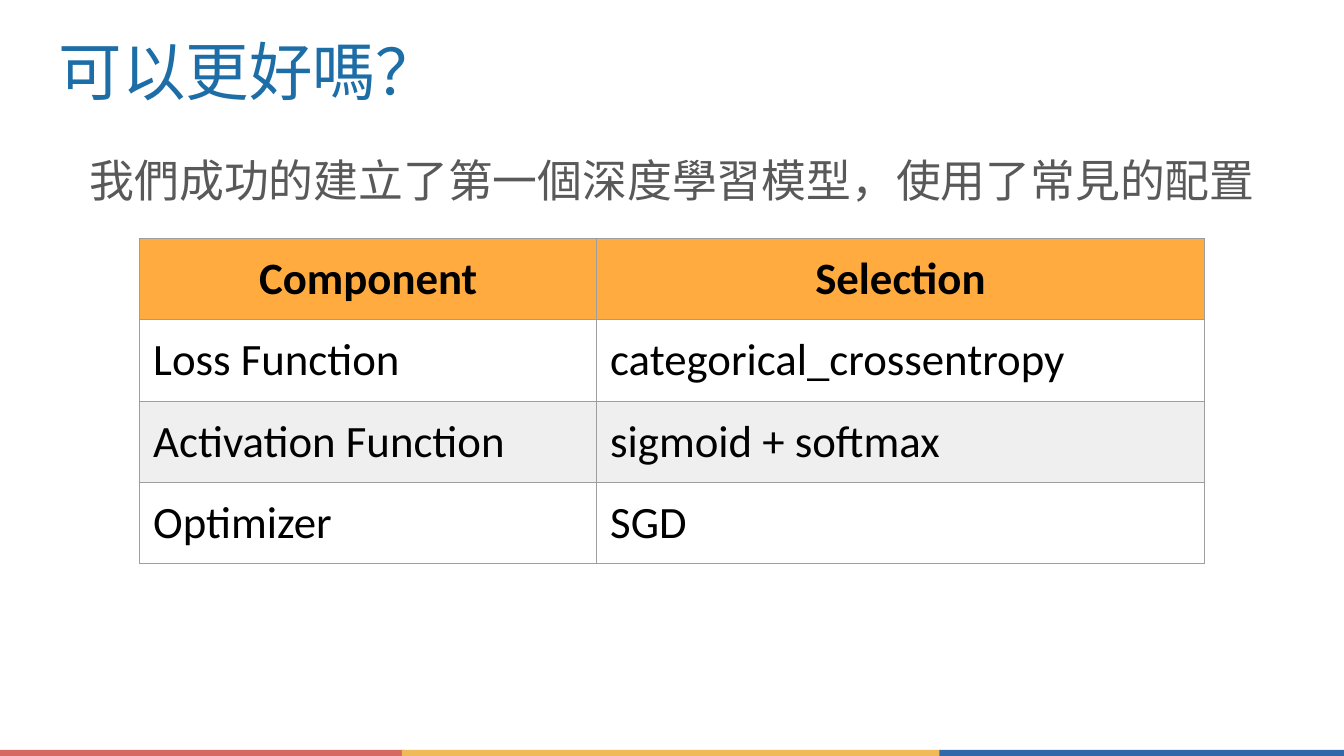
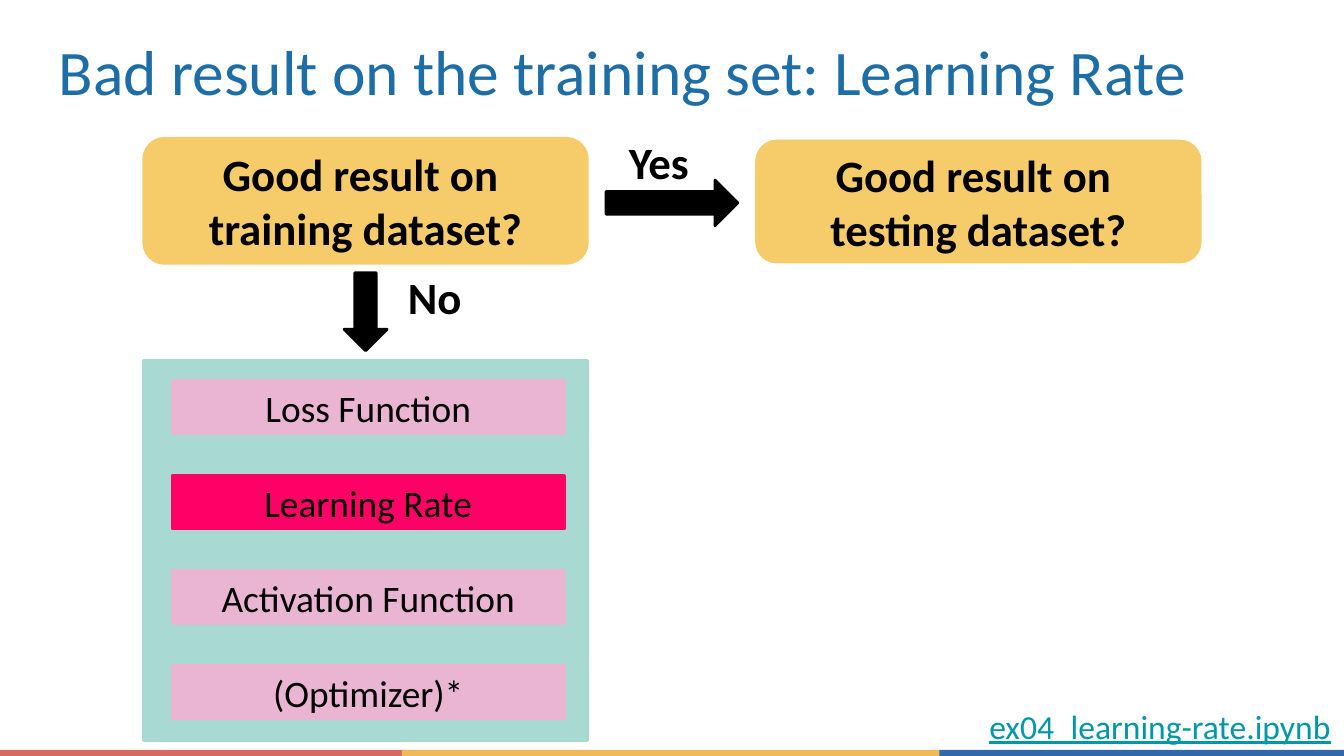
import pptx
import pptx.util
import pptx.dml.color
import pptx.enum.shapes
import pptx.enum.text
import pptx.oxml
import lxml.etree

Pt = pptx.util.Pt
RGB = pptx.dml.color.RGBColor
Kind = pptx.enum.shapes.MSO_SHAPE
Align = pptx.enum.text.PP_ALIGN
Anchor = pptx.enum.text.MSO_ANCHOR

BLACK = RGB(0x00, 0x00, 0x00)
GREY = RGB(0x59, 0x59, 0x59)
BLUE = RGB(0x1D, 0x6D, 0xA7)
TEAL = RGB(0x00, 0x97, 0xA7)
ORANGE = RGB(0xFF, 0xAB, 0x40)
PALE = RGB(0xEF, 0xEF, 0xEF)
RULE = RGB(0x9E, 0x9E, 0x9E)
GOLD = RGB(0xF6, 0xCB, 0x69)
MINT = RGB(0xA8, 0xD9, 0xD3)
PINK = RGB(0xE9, 0xB5, 0xD2)
HOT = RGB(0xFF, 0x00, 0x66)
BANDS = [
    (0, 30.1, RGB(0xD6, 0x69, 0x62)),
    (29.9, 40.1, RGB(0xEF, 0xBA, 0x57)),
    (69.9, 30.1, RGB(0x30, 0x68, 0xAA)),
]

FONT = "Calibri"
COLS, ROWS = 100, 56.25  # grid cells are square
CELL = pptx.util.Inches(10) / COLS


def grid(*spans):
    return [round(span * CELL) for span in spans]


class Deck:
    def __init__(self):
        self.show = pptx.Presentation()
        self.show.slide_width, self.show.slide_height = grid(COLS, ROWS)
        self.slide = None

    def page(self, title):
        """Start a slide with its footer bands and title."""
        self.slide = self.show.slides.add_slide(self.show.slide_layouts[6])
        for left, width, color in BANDS:
            self.shape(Kind.RECTANGLE, (left, 55.8, width, 0.45), color, line=False)
        self.text((3.4, 2, 93.2, 6.4), [title], 34, BLUE, pad=1, anchor=Anchor.MIDDLE)

    def words(self, frame, lines, size, color=BLACK, bold=False,
              align=Align.LEFT, under=False):
        """Fill a frame with one paragraph, broken between lines."""
        para = frame.paragraphs[0]
        para.alignment = align
        for index, line in enumerate(lines):
            if index:
                para.add_line_break()
            run = para.add_run()
            run.text = line
            font = run.font
            font.name, font.size, font.bold = FONT, Pt(size), bold
            font.underline = under
            font.color.rgb = color
        return para

    def inset(self, frame, pad, anchor):
        frame.word_wrap = True
        frame.vertical_anchor = anchor
        frame.margin_left, frame.margin_right = grid(1, 1)
        frame.margin_top, frame.margin_bottom = grid(pad, pad)

    def text(self, box, lines, size, color=BLACK, pad=0.5,
             anchor=Anchor.TOP, **style):
        frame = self.slide.shapes.add_textbox(*grid(*box)).text_frame
        self.inset(frame, pad, anchor)
        return self.words(frame, lines, size, color, **style)

    def shape(self, kind, box, color, lines=(), size=20, bold=False, line=True):
        item = self.slide.shapes.add_shape(kind, *grid(*box))
        item.shadow.inherit = False
        item.fill.solid()
        item.fill.fore_color.rgb = color
        if line:
            item.line.color.rgb = color
            item.line.width = Pt(1.5)
        else:
            item.line.fill.background()
        if lines:
            self.inset(item.text_frame, 0.5, Anchor.MIDDLE)
            self.words(item.text_frame, lines, size, bold=bold, align=Align.CENTER)

    def edge(self, cell):
        """Draw a thin rule on all four sides of a table cell."""
        props = cell._tc.get_or_add_tcPr()
        for side in ("lnL", "lnR", "lnT", "lnB"):
            rule = lxml.etree.SubElement(
                props, pptx.oxml.ns.qn("a:" + side), w=str(Pt(0.75)))
            fill = lxml.etree.SubElement(rule, pptx.oxml.ns.qn("a:solidFill"))
            lxml.etree.SubElement(fill, pptx.oxml.ns.qn("a:srgbClr"), val=str(RULE))

    def table(self, left, top, widths, high, rows):
        box = grid(left, top, sum(widths), high * len(rows))
        table = self.slide.shapes.add_table(len(rows), len(widths), *box).table
        table.horz_banding = table.first_row = False
        for col, width in zip(table.columns, grid(*widths)):
            col.width = width
        for r, row in enumerate(rows):
            table.rows[r].height = grid(high)[0]
            head = r == 0
            for c, word in enumerate(row):
                cell = table.cell(r, c)
                self.edge(cell)
                if r % 2:
                    cell.fill.background()
                else:
                    cell.fill.solid()
                    cell.fill.fore_color.rgb = ORANGE if head else PALE
                cell.margin_left, cell.margin_right = grid(1, 1)
                cell.margin_top, cell.margin_bottom = grid(1, 1)
                cell.vertical_anchor = Anchor.TOP if head else Anchor.MIDDLE
                self.words(cell.text_frame, [word], 24, bold=head,
                           align=Align.CENTER if head else Align.LEFT)


def setup(deck):
    deck.page("可以更好嗎？")
    intro = deck.text((3.4, 9.8, 93.2, 7.3),
                      ["我們成功的建立了第一個深度學習模型，使用了常見的配置"],
                      24, GREY, pad=1, align=Align.CENTER)
    intro.line_spacing = 1.15
    intro.space_after = Pt(16)
    deck.table(10.4, 17.75, (34, 45.2), 6.05, [
        ("Component", "Selection"),
        ("Loss Function", "categorical_crossentropy"),
        ("Activation Function", "sigmoid + softmax"),
        ("Optimizer", "SGD"),
    ])


def flow(deck):
    deck.page("Bad result on the training set: Learning Rate")
    left, wide = 10.7, 33
    for x, y, high, word in ((left, 10.3, 9.3, "training"), (56.3, 10.5, 9, "testing")):
        deck.shape(Kind.ROUNDED_RECTANGLE, (x, y, wide, high), GOLD,
                   ["Good result on ", word + " dataset?"], 24, True)

    deck.shape(Kind.DOWN_ARROW, (25.6, 20.3, 3.2, 5.8), BLACK)
    deck.shape(Kind.RIGHT_ARROW, (45.1, 13.4, 9.8, 3.4), BLACK)
    for x, y, word, align in ((28.8, 20.4, "No", Align.CENTER),
                              (45.8, 10.3, "Yes", Align.LEFT)):
        deck.text((x, y, 7.1, 3.4), [word], 24, anchor=Anchor.MIDDLE,
                  bold=True, align=align)

    deck.shape(Kind.RECTANGLE, (left, 26.8, wide, 28.3), MINT)
    steps = ("Loss Function", "Learning Rate", "Activation Function", "(Optimizer)*")
    for index, step in enumerate(steps):
        color = HOT if step == "Learning Rate" else PINK
        deck.shape(Kind.RECTANGLE, (12.8, 28.3 + 7.07 * index, 29.2, 4), color, [step])

    deck.text((70.7, 51.5, 29.3, 4.6), ["ex04_learning-rate.ipynb"], 18, TEAL,
              pad=1, align=Align.RIGHT, under=True)


def main():
    deck = Deck()
    setup(deck)
    flow(deck)
    deck.show.save("out.pptx")


if __name__ == "__main__":
    main()
